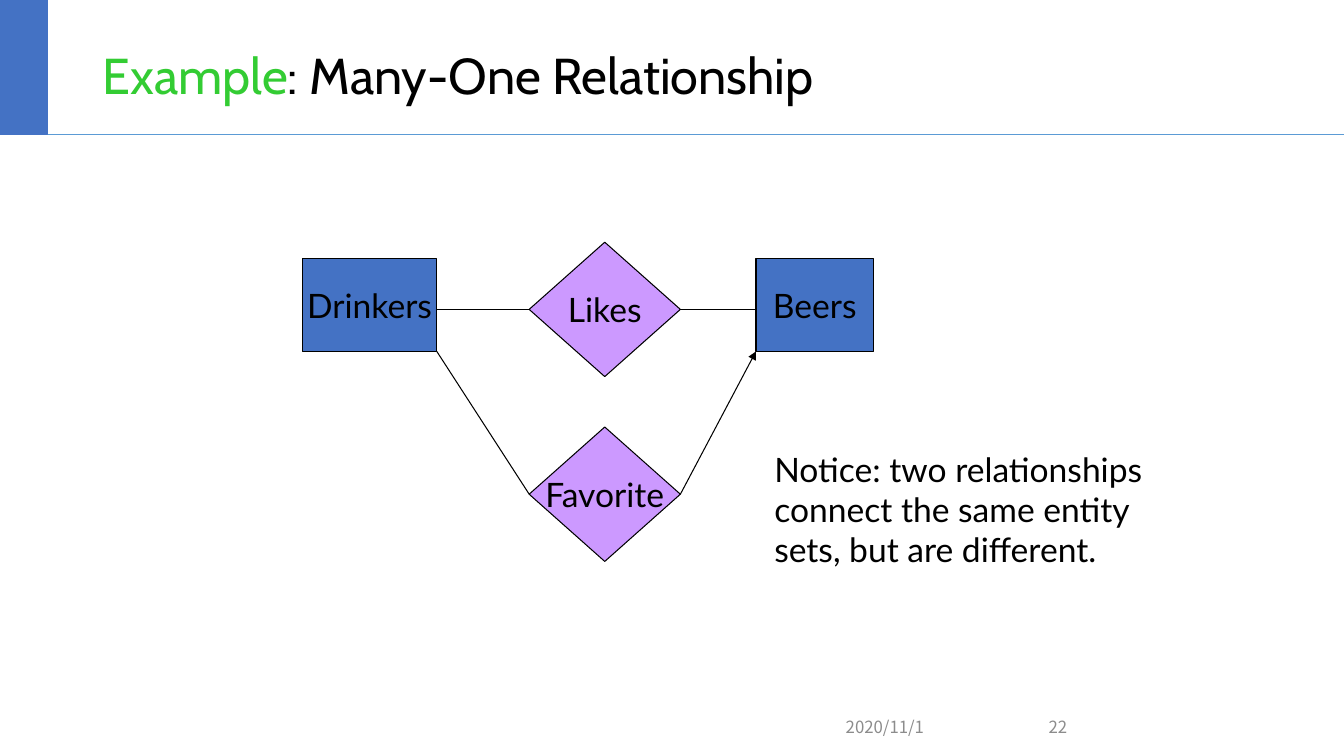
from lxml import etree
from pptx import Presentation
from pptx import util as u
from pptx.dml.color import RGBColor
from pptx.enum import shapes, text
from pptx.oxml import ns

Pt = u.Pt
COLORS = {"black": "000000", "green": "33CC33", "blue": "4472C4",
          "rule": "5B9BD5", "purple": "CC99FF", "gray": "8C8C8C"}


def write(paragraph, words, font, size, color):
    run = paragraph.add_run()
    run.text = words
    run.font.name = font
    run.font.size = Pt(size)
    run.font.color.rgb = RGBColor.from_string(COLORS[color])


def connect(start, end, color, width, arrow=False):
    link = slide.shapes.add_connector(
        shapes.MSO_CONNECTOR.STRAIGHT, *[Pt(v) for v in start + end])
    link.line.color.rgb = RGBColor.from_string(COLORS[color])
    link.line.width = Pt(width)
    if arrow:
        etree.SubElement(link.line._get_or_add_ln(), ns.qn("a:tailEnd"), type="triangle")
    etree.SubElement(link._element.spPr, ns.qn("a:effectLst"))


deck = Presentation()
deck.slide_width, deck.slide_height = Pt(960), Pt(540)
slide = deck.slides.add_slide(deck.slide_layouts[5])

# Header band
connect((961, 96), (0, 96), "rule", 1)
accent = slide.shapes.add_shape(shapes.MSO_SHAPE.RECTANGLE, Pt(-0.5), 0, Pt(34), Pt(96))
accent.shadow.inherit = False
accent.fill.solid()
accent.fill.fore_color.rgb = RGBColor.from_string(COLORS["blue"])
accent.line.color.rgb = RGBColor.from_string(COLORS["blue"])
accent.line.width = Pt(1)

# Title
title = slide.shapes.title
title.left, title.top, title.width, title.height = Pt(66), Pt(16), Pt(828), Pt(80)
title.text_frame.auto_size = text.MSO_AUTO_SIZE.NONE
title.text_frame.vertical_anchor = text.MSO_ANCHOR.MIDDLE
heading = title.text_frame.paragraphs[0]
heading.alignment = text.PP_ALIGN.LEFT
heading.line_spacing = 0.9
write(heading, "Example", "Cabin", 36, "green")
write(heading, ": Many-One Relationship", "Cabin", 36, "black")

# Date and slide number
for words, left, width, align in [("2020/11/1", 597, 120, text.PP_ALIGN.LEFT),
                                  ("22", 719.5, 50, text.PP_ALIGN.RIGHT)]:
    footer = slide.shapes.add_textbox(Pt(left), Pt(505), Pt(width), Pt(28.75))
    footer.text_frame.word_wrap = True
    footer.text_frame.vertical_anchor = text.MSO_ANCHOR.MIDDLE
    footer.text_frame.paragraphs[0].alignment = align
    write(footer.text_frame.paragraphs[0], words, "Noto Sans CJK SC", 12, "gray")

# Entity sets and relationships
RECT, DIAMOND = shapes.MSO_SHAPE.RECTANGLE, shapes.MSO_SHAPE.DIAMOND
for words, outline, left, top, width, height, color in [
        ("Drinkers", RECT, 216, 185, 96, 66, "blue"),
        ("Beers", RECT, 540, 185, 84, 66, "blue"),
        ("Likes", DIAMOND, 378, 173, 108, 96, "purple"),
        ("Favorite", DIAMOND, 378, 305, 108, 96, "purple")]:
    node = slide.shapes.add_shape(outline, Pt(left), Pt(top), Pt(width), Pt(height))
    node.shadow.inherit = False
    node.fill.solid()
    node.fill.fore_color.rgb = RGBColor.from_string(COLORS[color])
    node.line.color.rgb = RGBColor.from_string(COLORS["black"])
    node.line.width = Pt(0.75)
    node.text_frame.word_wrap = False
    node.text_frame.vertical_anchor = text.MSO_ANCHOR.MIDDLE
    node.text_frame.paragraphs[0].alignment = text.PP_ALIGN.CENTER
    write(node.text_frame.paragraphs[0], words, "Lato", 24, "black")

# Links: only Favorite points to one beer
for start, end, arrow in [((312, 221), (378, 221), False),
                          ((486, 221), (540, 221), False),
                          ((312, 251), (378, 353), False),
                          ((486, 353), (540, 251), True)]:
    connect(start, end, "black", 0.75, arrow)

# Notice
notice = slide.shapes.add_textbox(Pt(546), Pt(317), Pt(278.5), Pt(94)).text_frame
notice.word_wrap = False
notice.auto_size = text.MSO_AUTO_SIZE.SHAPE_TO_FIT_TEXT
for i, words in enumerate(["Notice: two relationships",
                           "connect the same entity",
                           "sets, but are different."]):
    write(notice.add_paragraph() if i else notice.paragraphs[0], words, "Lato", 24, "black")

deck.save("out.pptx")
